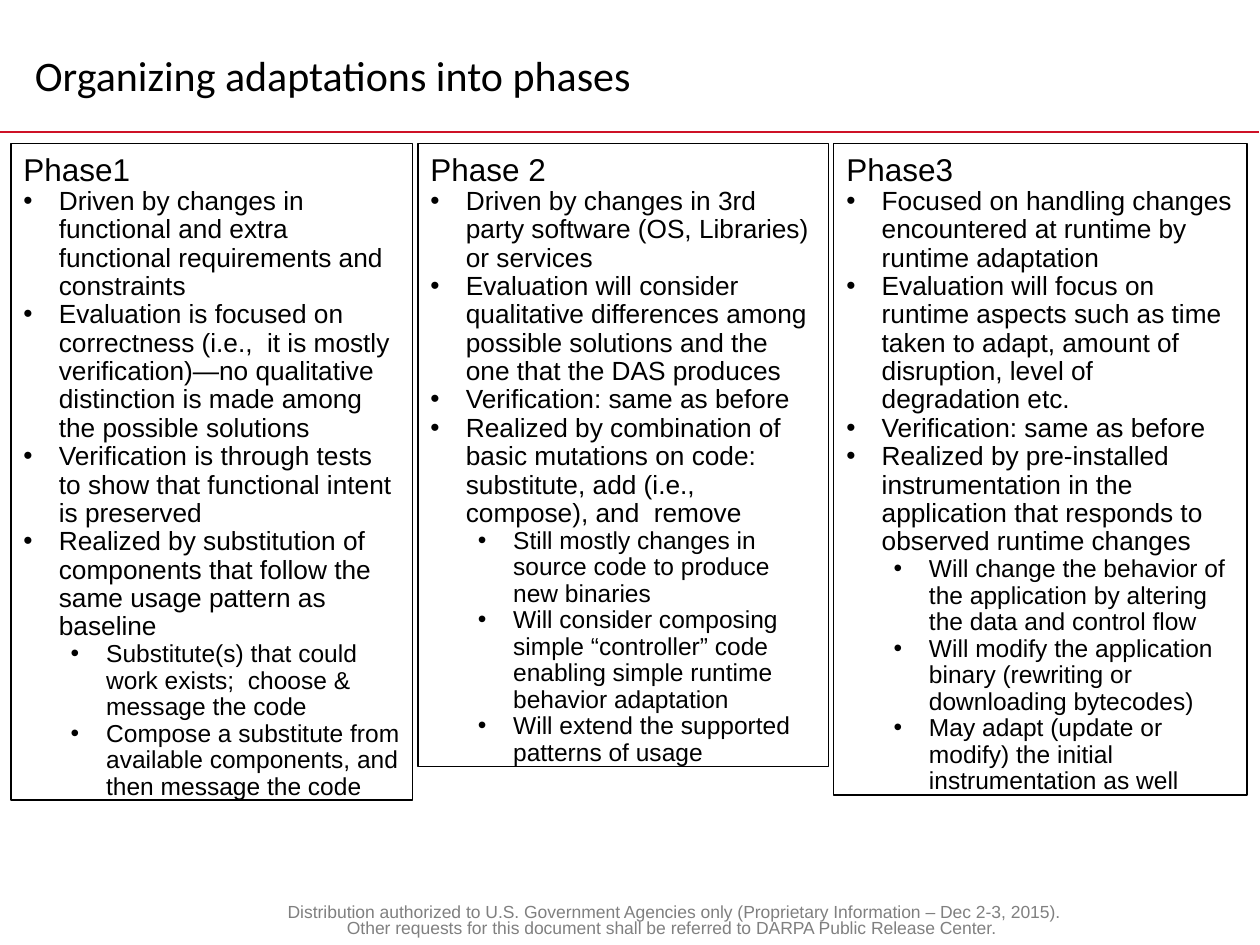
from dataclasses import dataclass

from lxml.etree import SubElement
from pptx import Presentation
from pptx.dml.color import RGBColor as RGB
from pptx.enum.shapes import MSO_CONNECTOR as Connector
from pptx.enum.text import MSO_ANCHOR as Anchor, MSO_AUTO_SIZE as AutoSize, PP_ALIGN as Align
from pptx.oxml.ns import qn
from pptx.util import Pt

COMPARISON_LAYOUT = 4


@dataclass(frozen=True)
class Theme:
    ink: RGB = RGB(0x00, 0x00, 0x00)
    rule: RGB = RGB(0xCE, 0x11, 0x26)
    muted: RGB = RGB(0x80, 0x80, 0x80)
    title_font: str = "Calibri"
    body_font: str = "Arial"
    title_size: float = 24
    heading_size: float = 18
    list_sizes: tuple = (15, 14)
    list_indents: tuple = (20.25, 47.25)
    hanging: float = 20.25
    footer_size: float = 10


TITLE = "Organizing adaptations into phases "
FOOTER = (
    "Distribution authorized to U.S. Government Agencies only "
    "(Proprietary Information – Dec 2-3, 2015). Other requests for this document "
    "shall be referred to DARPA Public Release Center. "
)
# Each phase: heading, box width, box height, main points, sub-points of the last one
PHASES = [
    ("Phase1", 229.7, 382.3, [
        "Driven by changes in functional and extra functional requirements and constraints",
        "Evaluation is focused on correctness (i.e.,  it is mostly verification)—no "
        "qualitative distinction is made among the possible solutions",
        "Verification is through tests to show that functional intent is preserved",
        "Realized by substitution of components that follow the same usage pattern as baseline",
    ], [
        "Substitute(s) that could work exists;  choose & message the code",
        "Compose a substitute from available components, and then message the code",
    ]),
    ("Phase 2", 234.7, 362.9, [
        "Driven by changes in 3rd party software (OS, Libraries) or services",
        "Evaluation will consider qualitative differences among possible solutions and "
        "the one that the DAS produces",
        "Verification: same as before",
        "Realized by combination of basic mutations on code: substitute, add (i.e., "
        "compose), and  remove",
    ], [
        "Still mostly changes in source code to produce new binaries",
        "Will consider composing simple “controller” code enabling simple runtime "
        "behavior adaptation",
        "Will extend the supported patterns of usage",
    ]),
    ("Phase3", 236.2, 379.4, [
        "Focused on handling changes encountered at runtime by runtime adaptation",
        "Evaluation will focus on runtime aspects such as time taken to adapt, amount of "
        "disruption, level of degradation etc.",
        "Verification: same as before",
        "Realized by pre-installed instrumentation in the application that responds to "
        "observed runtime changes",
    ], [
        "Will change the behavior of the application by altering the data and control flow",
        "Will modify the application binary (rewriting or downloading bytecodes)",
        "May adapt (update or modify) the initial instrumentation as well",
    ]),
]


def apply_format(target, values):
    for name, value in values.items():
        setattr(target, name, value)


def place(shape, left, top, width, height):
    apply_format(shape, {"left": Pt(left), "top": Pt(top),
                         "width": Pt(width), "height": Pt(height)})


class SlideBuilder:
    """Holds the theme and the slide being filled."""

    def __init__(self, slide, theme):
        self.slide = slide
        self.theme = theme
        self.free_bodies = [shape for shape in slide.placeholders
                            if shape.placeholder_format.idx in range(1, 5)]

    def add_text(self, paragraph, text, size, font=None, color=None, **paragraph_format):
        run = paragraph.add_run()
        run.text = text
        apply_format(run.font, {"name": font or self.theme.body_font,
                                "size": Pt(size), "bold": False})
        run.font.color.rgb = color or self.theme.ink
        apply_format(paragraph, {"space_before": Pt(0), "space_after": Pt(0),
                                 **paragraph_format})

    def indent(self, paragraph, left, first, bullet=None):
        properties = paragraph._p.get_or_add_pPr()
        properties.set("marL", str(Pt(left)))
        properties.set("indent", str(Pt(first)))
        if bullet:
            SubElement(properties, qn("a:buFont")).set("typeface", self.theme.body_font)
            SubElement(properties, qn("a:buChar")).set("char", bullet)
        else:
            SubElement(properties, qn("a:buNone"))

    def title(self, text, *box):
        shape = self.slide.shapes.title
        place(shape, *box)
        apply_format(shape.text_frame, {
            "word_wrap": True, "auto_size": AutoSize.NONE, "vertical_anchor": Anchor.MIDDLE,
            "margin_left": Pt(5), "margin_right": Pt(5),
            "margin_top": Pt(3), "margin_bottom": Pt(3)})
        self.add_text(shape.text_frame.paragraphs[0], text, self.theme.title_size,
                      self.theme.title_font, alignment=Align.CENTER)

    def rule(self, left, right, top):
        line = self.slide.shapes.add_connector(
            Connector.STRAIGHT, Pt(left), Pt(top), Pt(right), Pt(top))
        line.line.color.rgb = self.theme.rule
        line.line.width = Pt(1)
        SubElement(line._element.spPr, qn("a:effectLst"))

    def phase(self, heading, points, subpoints, *box):
        """Fill the next free body placeholder with a heading and a two-level list."""
        shape = self.free_bodies.pop(0)
        place(shape, *box)
        shape.line.color.rgb = self.theme.ink
        shape.line.width = Pt(0.75)
        frame = shape.text_frame
        apply_format(frame, {"word_wrap": True, "vertical_anchor": Anchor.TOP,
                             "auto_size": AutoSize.SHAPE_TO_FIT_TEXT})
        self.add_text(frame.paragraphs[0], heading, self.theme.heading_size)
        self.indent(frame.paragraphs[0], 0, 0)
        for level, items in enumerate((points, subpoints)):
            for item in items:
                paragraph = frame.add_paragraph()
                self.add_text(paragraph, item, self.theme.list_sizes[level],
                              level=level, line_spacing=0.9)
                self.indent(paragraph, self.theme.list_indents[level],
                            -self.theme.hanging, "•")

    def footer(self, text, *box):
        frame = self.slide.shapes.add_textbox(*map(Pt, box)).text_frame
        frame.word_wrap = True
        self.add_text(frame.paragraphs[0], text, self.theme.footer_size,
                      color=self.theme.muted, alignment=Align.CENTER, line_spacing=0.8)

    def remove_empty_placeholders(self):
        for shape in list(self.slide.placeholders):
            if not shape.text_frame.text:
                shape._element.getparent().remove(shape._element)


def main():
    presentation = Presentation()
    presentation.slide_width, presentation.slide_height = Pt(720), Pt(540)
    slide = presentation.slides.add_slide(presentation.slide_layouts[COMPARISON_LAYOUT])
    builder = SlideBuilder(slide, Theme())
    builder.rule(0, 719.5, 75.5)
    builder.footer(FOOTER, 152, 513.4, 466, 22.3)
    builder.title(TITLE, 9.4, 24.5, 367, 36.7)
    left, top, gap = 6.2, 82, 2.9
    for heading, width, height, points, subpoints in PHASES:
        builder.phase(heading, points, subpoints, left, top, width, height)
        left += width + gap
    builder.remove_empty_placeholders()
    presentation.save("out.pptx")


if __name__ == "__main__":
    main()
